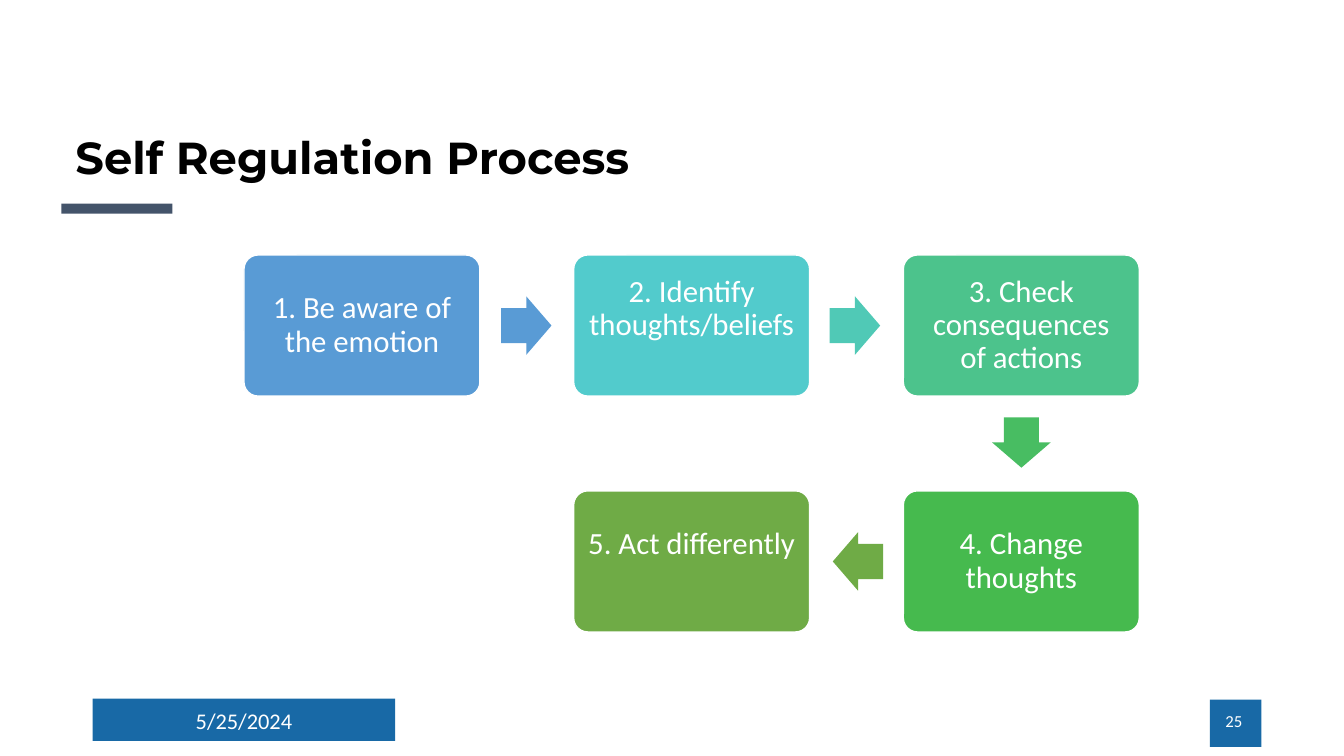
import pptx
import pptx.util
import pptx.dml.color
import pptx.enum.shapes
import pptx.enum.text

Inches = pptx.util.Inches
Pt = pptx.util.Pt
SHAPE = pptx.enum.shapes.MSO_SHAPE
ALIGN = pptx.enum.text.PP_ALIGN


def color(value):
    """Turn a hex string into a colour."""
    return pptx.dml.color.RGBColor.from_string(value)


def write(sp, text, size=22, font="Calibri", fill="FFFFFF", bold=False,
          align=ALIGN.CENTER, spacing=1.0, insets=(0.1, 0.05, 0.1, 0.05)):
    """Put one formatted paragraph into a shape."""
    tf = sp.text_frame
    tf.word_wrap = True
    tf.vertical_anchor = pptx.enum.text.MSO_ANCHOR.MIDDLE
    tf.margin_left, tf.margin_top, tf.margin_right, tf.margin_bottom = map(Inches, insets)
    p = tf.paragraphs[0]
    p.alignment = align
    p.line_spacing = spacing
    r = p.add_run()
    r.text = text
    r.font.size = Pt(size)
    r.font.name = font
    r.font.bold = bold
    r.font.color.rgb = color(fill)


class Slide:
    """Hold the slide and its style, and add elements to it."""

    step_size = (2.34, 1.4)
    arrow_size = (0.5, 0.58)
    step_inset = 0.1

    def __init__(self, prs):
        """Start on a blank slide."""
        self.s = prs.slides.add_slide(prs.slide_layouts[6])

    def shape(self, kind, box, fill, adj=(), line=None):
        """Add a flat filled shape."""
        sp = self.s.shapes.add_shape(kind, *map(Inches, box))
        sp.shadow.inherit = False
        sp.fill.solid()
        sp.fill.fore_color.rgb = color(fill)
        for i, value in enumerate(adj):
            sp.adjustments[i] = value
        if line:
            sp.line.color.rgb = color(line)
            sp.line.width = Pt(1)
        else:
            sp.line.fill.background()
        return sp

    def text(self, box, text, **style):
        """Add a text box."""
        write(self.s.shapes.add_textbox(*map(Inches, box)), text, **style)

    def step(self, x, y, text, fill, lift):
        """Add a process step, with its text raised by extra space below."""
        sp = self.shape(SHAPE.ROUNDED_RECTANGLE, (x, y, *self.step_size), fill, (0.1,), "FFFFFF")
        inset = self.step_inset
        write(sp, text, spacing=0.9, insets=(inset, inset, inset, inset + lift))

    def arrow(self, x, y, fill, rotation):
        """Add a block arrow."""
        sp = self.shape(SHAPE.RIGHT_ARROW, (x, y, *self.arrow_size), fill, (0.6, 0.5))
        sp.rotation = rotation


def main():
    """Build the slide and save it."""
    prs = pptx.Presentation()
    prs.slide_width, prs.slide_height = Inches(13.33), Inches(7.5)
    slide = Slide(prs)

    blue = "1869A6"
    slide.shape(SHAPE.RECTANGLE, (0.92, 6.93, 3, 0.42), blue)
    slide.shape(SHAPE.RECTANGLE, (12, 6.94, 0.51, 0.47), blue)
    slide.text((0.65, 0.86, 6.5, 1.45), "Self Regulation Process", size=32,
               font="Montserrat", fill="000000", bold=True, align=ALIGN.LEFT, spacing=0.9)
    slide.text((0.92, 6.95, 3, 0.4), "5/25/2024", size=16)
    slide.text((9.42, 6.95, 3, 0.4), "25", size=12, align=ALIGN.RIGHT)
    slide.shape(SHAPE.RECTANGLE, (0.61, 2.02, 1.1, 0.1), "44546A")

    left, top, col_pitch, row_pitch = 2.42, 2.53, 3.27, 2.34
    blank_line = 0.33
    steps = [
        (0, 0, "1. Be aware of the emotion", "599BD5", 0),
        (1, 0, "2. Identify thoughts/beliefs", "52CBCC", blank_line),
        (2, 0, "3. Check consequences of actions", "4CC38C", 0),
        (2, 1, "4. Change thoughts", "46BA4E", 0),
        (1, 1, "5. Act differently", "6FAB46", blank_line),
    ]
    for col, row, text, fill, lift in steps:
        slide.step(left + col * col_pitch, top + row * row_pitch, text, fill, lift)

    arrows = [
        (4.97, 2.94, "599BD5", 0),
        (8.23, 2.94, "50C9B6", 0),
        (9.88, 4.1, "48BD62", 90),
        (8.26, 5.28, "6FAB46", 180),
    ]
    for arrow in arrows:
        slide.arrow(*arrow)

    prs.save("out.pptx")


if __name__ == "__main__":
    main()
